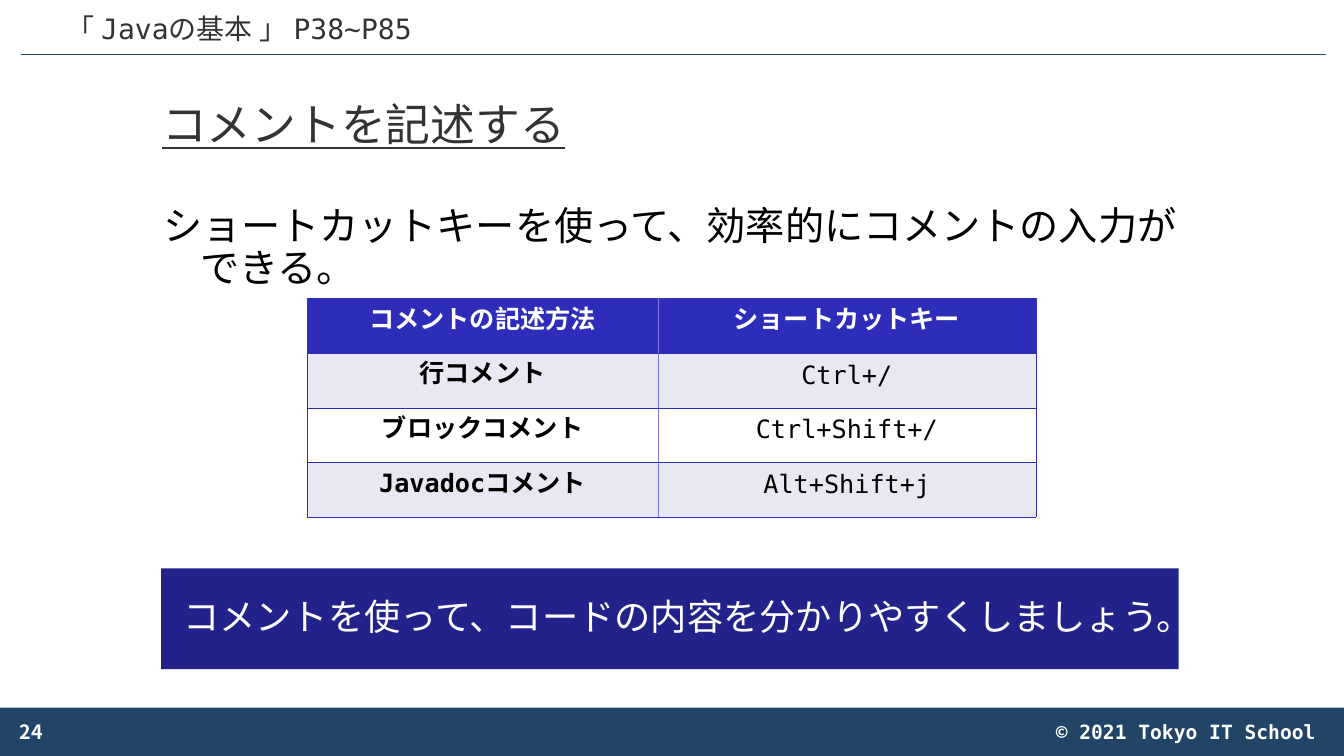
"""Build the slide on shortcut keys for Java comments."""
from lxml.etree import SubElement
from pptx import Presentation
from pptx.dml.color import RGBColor
from pptx.enum.shapes import MSO_CONNECTOR as CONN, MSO_SHAPE as SHAPE
from pptx.enum.text import MSO_ANCHOR as ANCHOR, PP_ALIGN as ALIGN
from pptx.oxml.ns import qn
from pptx.util import Inches, Pt

COLORS = {"navy": "224466", "blue": "2D2DB9", "divider": "7878DE", "band": "E8E8F3",
          "box": "22228B", "white": "FFFFFF", "black": "000000", "gray": "333333"}
C = {name: RGBColor.from_string(value) for name, value in COLORS.items()}
MONO, CJK = "DejaVu Sans Mono", "Noto Sans CJK JP"


def write(tf, text, size, color, font=MONO, bold=False, underline=False,
          align=ALIGN.LEFT, anchor=ANCHOR.TOP, spacing=None, hanging=False):
    tf.word_wrap = True
    tf.vertical_anchor = anchor
    p = tf.paragraphs[0]
    p.alignment, p.line_spacing = align, spacing
    if hanging:
        pPr = p._p.get_or_add_pPr()
        pPr.set("marL", str(Inches(0.38)))
        pPr.set("indent", str(Inches(-0.37)))
    r = p.add_run()
    r.text = text
    r.font.name, r.font.size = font, Pt(size)
    r.font.bold, r.font.underline = bold, underline
    r.font.color.rgb = C[color]
    SubElement(r._r.get_or_add_rPr(), qn("a:ea"), typeface=CJK)


prs = Presentation()
prs.slide_width, prs.slide_height = Inches(13.34), Inches(7.5)
s = prs.slides.add_slide(prs.slide_layouts[6])

bars = {}
for name, color, box in [("footer", "navy", (0, 7.02, 13.34, 0.48)),
                         ("message", "box", (1.6, 5.64, 10.1, 1))]:
    sp = s.shapes.add_shape(SHAPE.RECTANGLE, *map(Inches, box))
    sp.shadow.inherit = False
    sp.fill.solid()
    sp.fill.fore_color.rgb = C[color]
    sp.line.fill.background()
    bars[name] = sp
write(bars["message"].text_frame, "コメントを使って、コードの内容を分かりやすくしましょう。", 25.9, "white",
      font="Arial", align=ALIGN.CENTER, anchor=ANCHOR.MIDDLE, spacing=0.9)

rule = s.shapes.add_connector(CONN.STRAIGHT, Inches(0.21), Inches(0.54), Inches(13.16), Inches(0.54))
rule.line.color.rgb = C["navy"]
rule.line.width = Pt(0.5)
SubElement(rule._element.spPr, qn("a:effectLst"))

texts = [
    ((0, -0.04, 4.75, 0.54), "「 Javaの基本 」 P38~P85", 20, "gray",
     dict(align=ALIGN.CENTER, anchor=ANCHOR.BOTTOM, spacing=0.9)),
    ((1.51, 0.68, 10.32, 1.16), "コメントを記述する", 32, "gray",
     dict(underline=True, anchor=ANCHOR.MIDDLE, spacing=0.9)),
    ((1.51, 2, 10.32, 4.76), "ショートカットキーを使って、効率的にコメントの入力ができる。", 28, "black",
     dict(spacing=0.9, hanging=True)),
    ((0.1, 7.06, 3, 0.4), "24", 14, "white",
     dict(font=CJK, bold=True, anchor=ANCHOR.MIDDLE)),
    ((8.34, 7.09, 4.82, 0.34), "© 2021 Tokyo IT School", 14, "white",
     dict(bold=True, align=ALIGN.RIGHT)),
]
for box, text, size, color, style in texts:
    write(s.shapes.add_textbox(*map(Inches, box)).text_frame, text, size, color, **style)

rows = [("コメントの記述方法", "ショートカットキー"), ("行コメント", "Ctrl+/"),
        ("ブロックコメント", "Ctrl+Shift+/"), ("Javadocコメント", "Alt+Shift+j")]
table = s.shapes.add_table(len(rows), 2, Inches(3.05), Inches(2.96), Inches(7.23), Inches(2.17)).table
table.columns[0].width, table.columns[1].width = Inches(3.48), Inches(3.75)
for i, row in enumerate(rows):
    for j, text in enumerate(row):
        cell = table.cell(i, j)
        cell.margin_left = cell.margin_right = Inches(0.08)
        tcPr = cell._tc.get_or_add_tcPr()
        inner = "R" if j == 0 else "L"
        for side in "LRTB":
            color, width = ("divider", 0.34) if side == inner else ("blue", 0.23)
            ln = SubElement(tcPr, qn(f"a:ln{side}"), w=str(Pt(width)))
            SubElement(SubElement(ln, qn("a:solidFill")), qn("a:srgbClr"), val=COLORS[color])
        cell.fill.solid()
        cell.fill.fore_color.rgb = C["blue" if i == 0 else "band" if i % 2 else "white"]
        cell.vertical_anchor = ANCHOR.MIDDLE
        write(cell.text_frame, text, 18, "black" if i else "white", bold=i == 0 or j == 0,
              align=ALIGN.CENTER, anchor=None, spacing=Pt(13.9))

prs.save("out.pptx")
